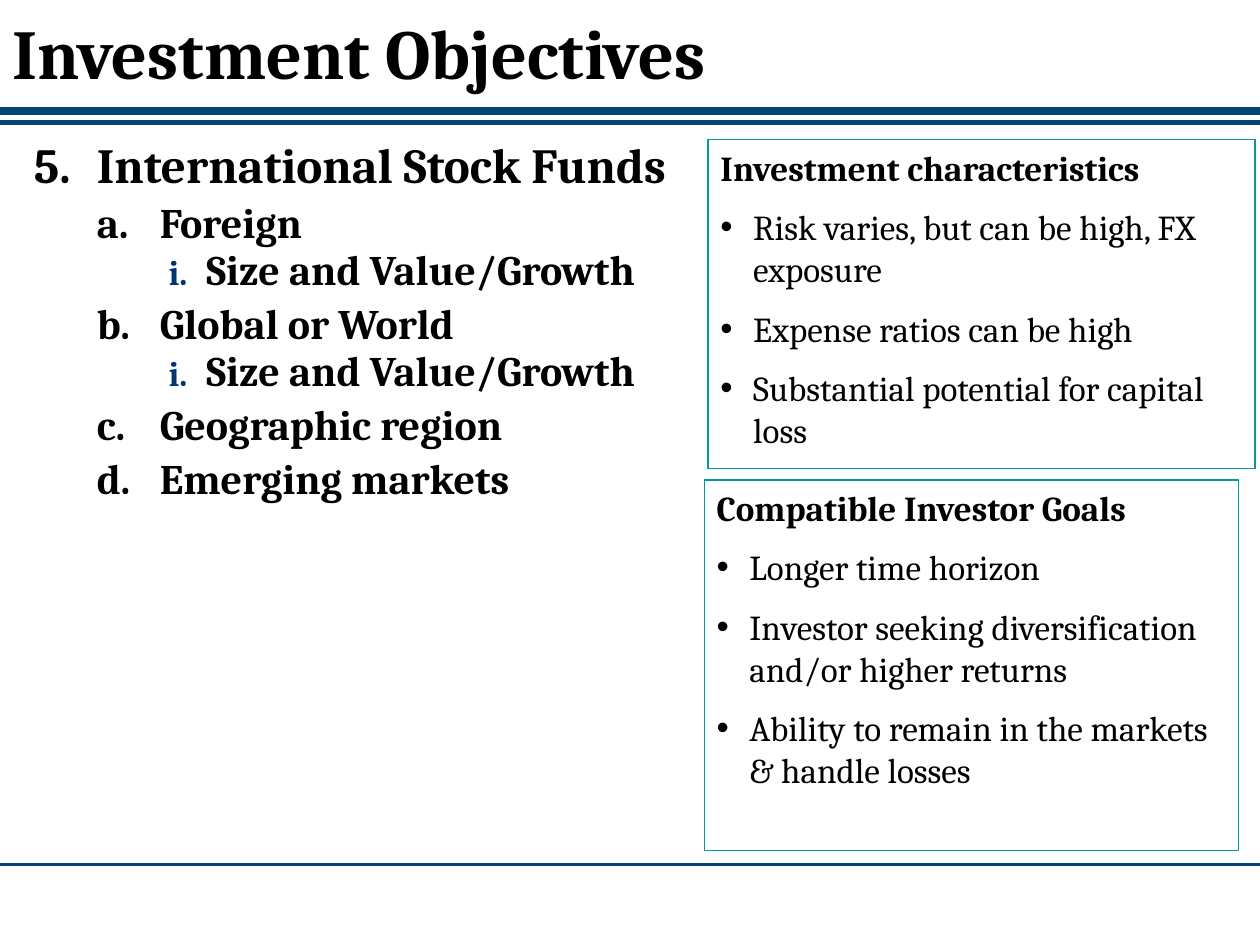
from dataclasses import dataclass

from lxml.etree import SubElement
from pptx import Presentation
from pptx.dml.color import RGBColor as RGB
from pptx.enum.shapes import MSO_CONNECTOR as LINK, MSO_SHAPE as SHAPE
from pptx.enum.text import MSO_ANCHOR as ANCHOR, MSO_AUTO_SIZE as FIT, PP_ALIGN as ALIGN
from pptx.oxml.ns import qn
from pptx.util import Inches, Pt


@dataclass(frozen=True)
class Theme:
    font: str = "Cambria"
    ink: str = "000000"
    paper: str = "FFFFFF"
    rule: str = "024476"
    frame: str = "009B9B"
    mark: str = "003472"
    title: int = 40
    head: int = 28
    item: int = 24
    panel: int = 20


THEME = Theme()
WIDTH, HEIGHT = 10, 7.5

TITLE = "Investment Objectives"
TITLE_BOX = (0, -0.03, 6.28, 0.83)
OUTLINE_BOX = (0.17, 1.07, 9.67, 5.66)

# Level and text
OUTLINE = [
    (0, "International Stock Funds"),
    (1, "Foreign"),
    (2, "Size and Value/Growth"),
    (1, "Global or World"),
    (2, "Size and Value/Growth"),
    (1, "Geographic region"),
    (1, "Emerging markets"),
]

# Per level: size, space before, left edge, hanging indent, bullet
LEVELS = [
    (THEME.head, 10, 0.5, 0.5,
     [("buFont", {"typeface": "+mj-lt"}),
      ("buAutoNum", {"type": "arabicPeriod", "startAt": "5"})]),
    (THEME.item, 5, 1, 0.5,
     [("buFont", {"typeface": THEME.font}),
      ("buAutoNum", {"type": "alphaLcPeriod"})]),
    (THEME.item, 0.8, 1.37, 0.3,
     [("buClr", THEME.mark),
      ("buSzPct", {"val": "83000"}),
      ("buFont", {"typeface": THEME.font}),
      ("buAutoNum", {"type": "romanLcPeriod"})]),
]

DOT = [("buFont", {"typeface": "Arial"}), ("buChar", {"char": "•"})]

# Box, heading, points
PANELS = [
    ((5.62, 1.11, 4.34, 2.61), "Investment characteristics", [
        "Risk varies, but can be high, FX exposure",
        "Expense ratios can be high",
        "Substantial potential for capital loss",
    ]),
    ((5.59, 3.81, 4.24, 2.94), "Compatible Investor Goals", [
        "Longer time horizon",
        "Investor seeking diversification and/or higher returns",
        "Ability to remain in the markets & handle losses",
    ]),
]

# Height on the slide and line weight
RULES = [(0.88, 4.5), (0.97, 3), (6.86, 1.5)]


def place(box):
    return [Inches(n) for n in box]


def style(para, size, bold=True):
    para.alignment = ALIGN.LEFT
    for run in para.runs:
        font = run.font
        font.name, font.size, font.bold = THEME.font, Pt(size), bold
        font.color.rgb = RGB.from_string(THEME.ink)


def indent(para, left, hang, marks):
    """Set a hanging indent and append the bullet parts in schema order."""
    props = para._p.get_or_add_pPr()
    props.set("marL", str(Inches(left)))
    props.set("indent", str(-Inches(hang)))
    for tag, value in marks:
        if tag == "buClr":
            SubElement(SubElement(props, qn("a:buClr")), qn("a:srgbClr"), val=value)
        else:
            SubElement(props, qn(f"a:{tag}"), value)


def fill_lines(frame, lines):
    """Write one line per paragraph and yield each paragraph."""
    frame.text = "\n".join(lines)
    frame.word_wrap = True
    frame.vertical_anchor = ANCHOR.TOP
    return frame.paragraphs


def add_rule(slide, y, weight):
    line = slide.shapes.add_connector(
        LINK.STRAIGHT, 0, Inches(y), Inches(WIDTH), Inches(y))
    line.line.color.rgb = RGB.from_string(THEME.rule)
    line.line.width = Pt(weight)
    SubElement(line._element.spPr, qn("a:effectLst"))


def add_title(slide):
    title = slide.shapes.title
    title.left, title.top, title.width, title.height = place(TITLE_BOX)
    frame = title.text_frame
    frame.text = TITLE
    frame.auto_size = FIT.NONE
    frame.vertical_anchor = ANCHOR.BOTTOM
    para = frame.paragraphs[0]
    para.line_spacing = 0.9
    style(para, THEME.title)


def add_outline(slide):
    frame = slide.shapes.add_textbox(*place(OUTLINE_BOX)).text_frame
    paras = fill_lines(frame, [text for _, text in OUTLINE])
    for para, (level, _) in zip(paras, OUTLINE):
        size, space, left, hang, marks = LEVELS[level]
        para.level = level
        para.line_spacing = 0.9
        para.space_before = Pt(space)
        style(para, size)
        indent(para, left, hang, marks)


def add_panel(slide, box, head, points):
    panel = slide.shapes.add_shape(SHAPE.RECTANGLE, *place(box))
    panel.shadow.inherit = False
    panel.fill.solid()
    panel.fill.fore_color.rgb = RGB.from_string(THEME.paper)
    panel.line.color.rgb = RGB.from_string(THEME.frame)
    panel.line.width = Pt(0.75)
    for row, para in enumerate(fill_lines(panel.text_frame, [head, *points])):
        para.space_before = Pt(THEME.panel / 2)
        style(para, THEME.panel, bold=row == 0)
        indent(para, 0.26, 0.26, DOT if row else [])


def main():
    deck = Presentation()
    deck.slide_width, deck.slide_height = Inches(WIDTH), Inches(HEIGHT)
    slide = deck.slides.add_slide(deck.slide_layouts.get_by_name("Title Only"))
    for rule in RULES:
        add_rule(slide, *rule)
    add_title(slide)
    add_outline(slide)
    for panel in PANELS:
        add_panel(slide, *panel)
    deck.save("out.pptx")


if __name__ == "__main__":
    main()
